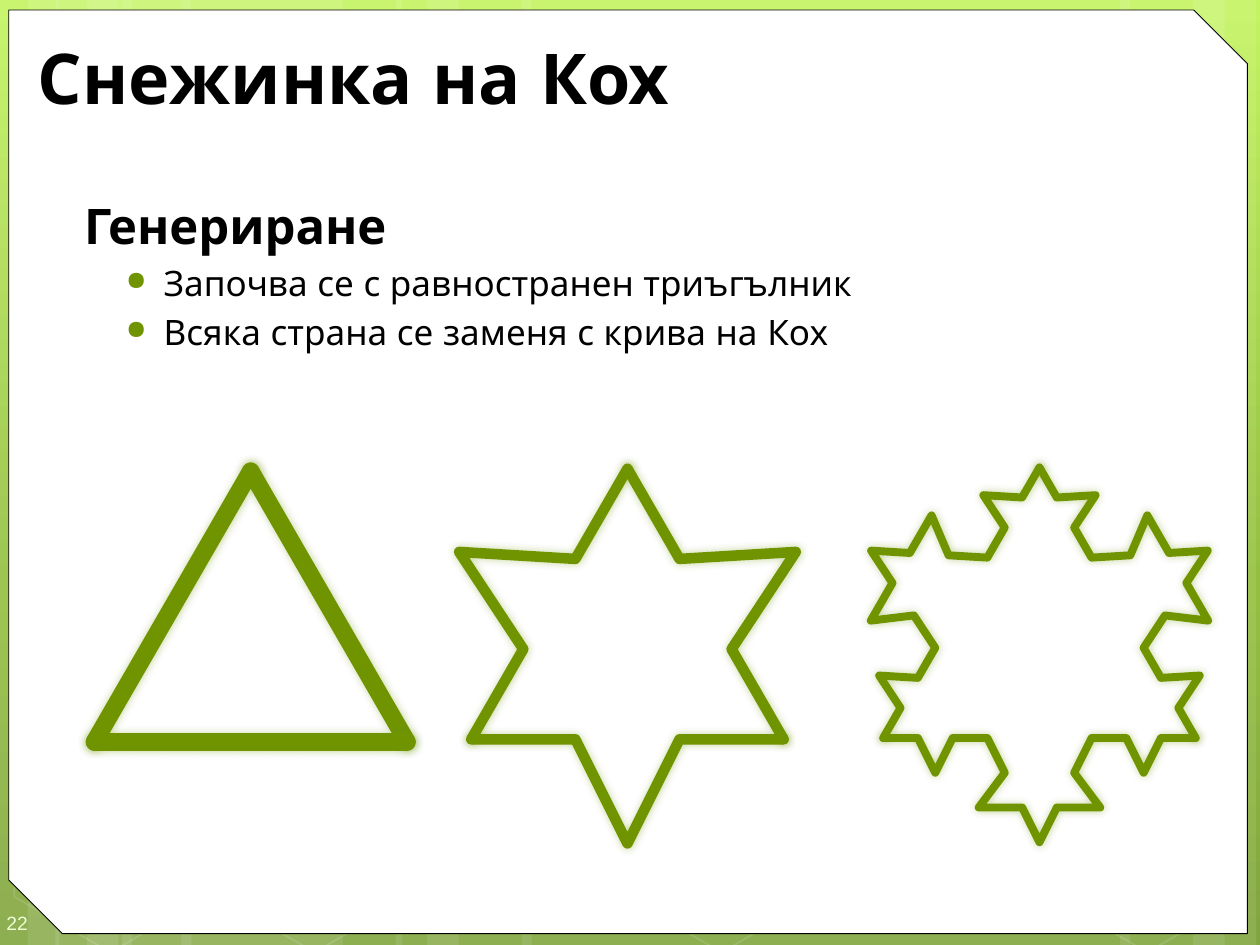
from copy import deepcopy
from itertools import pairwise
from math import sqrt

from lxml.etree import SubElement
from pptx import Presentation
from pptx.dml.color import RGBColor
from pptx.enum.shapes import MSO_SHAPE
from pptx.enum.text import MSO_ANCHOR
from pptx.oxml.ns import qn
from pptx.util import Inches, Pt

GREEN = RGBColor(0x6F, 0x94, 0x00)
WHITE = RGBColor(0xFF, 0xFF, 0xFF)
BLACK = RGBColor(0x00, 0x00, 0x00)
PALE_GREEN = RGBColor(0xEE, 0xFF, 0xD6)
BACKDROP_STOPS = [(0, RGBColor(0xC3, 0xF3, 0x5F)),
                  (0.62, RGBColor(0x93, 0xBF, 0x3F)),
                  (1, RGBColor(0x81, 0xA5, 0x3E))]

WIDTH, HEIGHT = 10, 7.5
FONT = "Quicksand"
STEPS = ["Започва се с равностранен триъгълник",
         "Всяка страна се заменя с крива на Кох"]

# Backdrop stripes: the left edges that share each width
STRIPE_LEFTS = {1.75: [0.97, 1.44, 7.22],
                0.5: [-0.03, 0.44, 3.14, 9.47],
                0.83: [0.22, 0.69, 3.39, 8.89],
                3.08: [4.14]}
HEXAGON_LEFTS = [0, 1.62, 4.85, 8.23]

# Koch stages: centre, top and line width; the list index is the depth
KOCH_SIDE = 2.48
KOCH_STAGES = [(1.99, 3.74, 10), (4.98, 3.72, 6), (8.25, 3.71, 4.5)]


def add_preset(slide, preset, left, top, width, height):
    shape = slide.shapes.add_shape(preset, Inches(left), Inches(top),
                                   Inches(width), Inches(height))
    shape.shadow.inherit = False
    return shape


def set_opacity(parent, percent):
    color = parent.find(".//" + qn("a:srgbClr"))
    SubElement(color, qn("a:alpha"), val=str(percent * 1000))


def add_gradient(slide):
    fill = slide.background.fill
    fill.gradient()
    fill.gradient_angle = 270
    # The default gradient has two stops; a third is needed
    first_stop = slide.element.find(".//" + qn("a:gs"))
    first_stop.addnext(deepcopy(first_stop))
    for stop, (position, color) in zip(fill.gradient_stops, BACKDROP_STOPS):
        stop.position = position
        stop.color.rgb = color


def add_backdrop(slide, width, height):
    add_gradient(slide)

    # Translucent stripes
    for stripe_width, lefts in STRIPE_LEFTS.items():
        for left in lefts:
            stripe = add_preset(slide, MSO_SHAPE.RECTANGLE,
                                left, 0, stripe_width, height)
            stripe.fill.solid()
            stripe.fill.fore_color.rgb = WHITE
            set_opacity(stripe.element.spPr, 10)
            stripe.line.fill.background()

    # Hexagons along the bottom edge
    for left in HEXAGON_LEFTS:
        hexagon = add_preset(slide, MSO_SHAPE.HEXAGON,
                             left, height - 1.58, 1.75, 1.52)
        hexagon.adjustments[0] = 0.285
        hexagon.rotation = 30
        hexagon.fill.background()
        hexagon.line.width = Pt(1)
        hexagon.line.color.rgb = WHITE
        set_opacity(hexagon.element.spPr, 12)


def add_card(slide, left, top, width, height):
    card = add_preset(slide, MSO_SHAPE.SNIP_2_DIAG_RECTANGLE,
                      left, top, width, height)
    card.adjustments[0] = 0
    card.adjustments[1] = 0.058
    card.fill.solid()
    card.fill.fore_color.rgb = WHITE
    card.line.color.rgb = BLACK
    card.line.width = Pt(0.5)


def add_text_frame(slide, left, top, width, height, anchor=MSO_ANCHOR.MIDDLE):
    box = slide.shapes.add_textbox(Inches(left), Inches(top),
                                   Inches(width), Inches(height))
    frame = box.text_frame
    frame.word_wrap = True
    frame.vertical_anchor = anchor
    return frame


def add_run(paragraph, text, size, color=BLACK, bold=False, font=FONT):
    run = paragraph.add_run()
    run.text = text
    run.font.name = font
    run.font.size = Pt(size)
    run.font.bold = bold
    run.font.color.rgb = color


def add_title(slide, *box):
    frame = add_text_frame(slide, *box)
    add_run(frame.paragraphs[0], "Снежинка на Кох", 40, bold=True)


def add_page_number(slide, *box):
    frame = add_text_frame(slide, *box)
    frame.margin_left, frame.margin_right = Inches(0.05), 0
    frame.margin_top, frame.margin_bottom = Inches(0.15), Inches(0.1)
    add_run(frame.paragraphs[0], "22", 11, PALE_GREEN, font="Arial")


def set_indent(paragraph, left, hanging=0):
    properties = paragraph._p.get_or_add_pPr()
    properties.set("marL", str(Inches(left)))
    properties.set("indent", str(Inches(-hanging)))
    return properties


def add_bullet(paragraph):
    properties = set_indent(paragraph, 0.7, hanging=0.3)
    bullet_color = SubElement(properties, qn("a:buClr"))
    SubElement(bullet_color, qn("a:srgbClr"), val=str(GREEN))
    SubElement(properties, qn("a:buSzPct"), val="75000")
    SubElement(properties, qn("a:buChar"), char="●")


def add_generation_text(slide, *box):
    frame = add_text_frame(slide, *box, anchor=MSO_ANCHOR.TOP)
    heading = frame.paragraphs[0]
    set_indent(heading, 0.07)
    add_run(heading, "Генериране", 28, bold=True)
    for step in STEPS:
        item = frame.add_paragraph()
        item.level = 1
        item.space_before = Pt(4)
        add_bullet(item)
        add_run(item, step, 20)


def koch_curve(start, end, depth):
    """Points from start to end, with a bump to the left of every segment."""
    if depth == 0:
        return [start, end]
    (x, y), (end_x, end_y) = start, end
    third_x, third_y = (end_x - x) / 3, (end_y - y) / 3
    # The bump is as high as a third of the segment
    tip = (x + 1.5 * third_x + third_y, y + 1.5 * third_y - third_x)
    corners = [start, (x + third_x, y + third_y), tip,
               (x + 2 * third_x, y + 2 * third_y), end]
    points = [start]
    for corner, next_corner in pairwise(corners):
        points += koch_curve(corner, next_corner, depth - 1)[1:]
    return points


def add_curve(slide, points, thickness):
    points = [(Inches(x), Inches(y)) for x, y in points]
    builder = slide.shapes.build_freeform(*points[0])
    builder.add_line_segments(points[1:], close=False)
    curve = builder.convert_to_shape()
    curve.fill.background()
    curve.line.color.rgb = GREEN
    curve.line.width = Pt(thickness)
    # Round ends and joints
    outline = curve.element.spPr.find(qn("a:ln"))
    outline.set("cap", "rnd")
    SubElement(outline, qn("a:round"))
    # Soft green glow
    curve.shadow.inherit = False
    effects = curve.element.spPr.find(qn("a:effectLst"))
    glow = SubElement(effects, qn("a:outerShdw"), blurRad=str(Pt(5)), dist="0")
    SubElement(glow, qn("a:srgbClr"), val=str(GREEN))
    set_opacity(glow, 40)


def add_koch_stage(slide, center, top, side, depth, thickness):
    base = top + side * sqrt(3) / 2
    apex = (center, top)
    right, left = (center + side / 2, base), (center - side / 2, base)
    # Clockwise, so that the bumps point outwards
    for start, end in pairwise([apex, right, left, apex]):
        add_curve(slide, koch_curve(start, end, depth), thickness)


def main():
    deck = Presentation()
    deck.slide_width, deck.slide_height = Inches(WIDTH), Inches(HEIGHT)
    slide = deck.slides.add_slide(deck.slide_layouts[6])
    add_backdrop(slide, WIDTH, HEIGHT)
    add_card(slide, 0.07, 0.08, WIDTH - 0.17, HEIGHT - 0.17)
    add_page_number(slide, 0, HEIGHT - 0.4, 0.58, 0.4)
    add_title(slide, 0.2, 0.25, 9.47, 0.71)
    add_generation_text(slide, 0.5, HEIGHT / 5, 9.42, 5.92)
    for depth, (center, top, thickness) in enumerate(KOCH_STAGES):
        add_koch_stage(slide, center, top, KOCH_SIDE, depth, thickness)
    deck.save("out.pptx")


if __name__ == "__main__":
    main()
